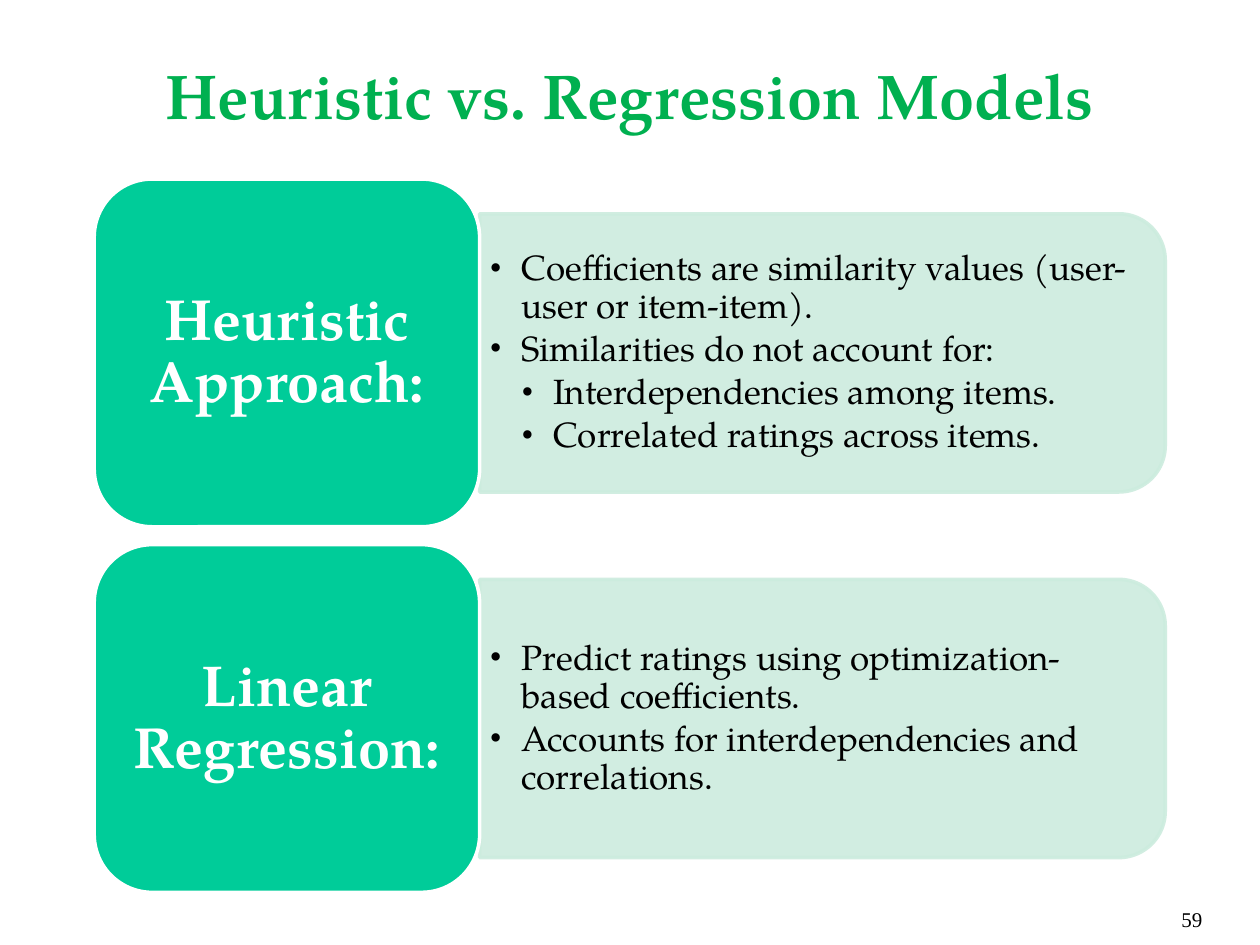
from dataclasses import dataclass

from lxml.etree import SubElement
from pptx import Presentation
from pptx.dml.color import RGBColor
from pptx.enum.shapes import MSO_SHAPE as Preset
from pptx.enum.text import MSO_ANCHOR as Anchor, MSO_AUTO_SIZE as AutoSize, PP_ALIGN as Align
from pptx.oxml.ns import qn
from pptx.util import Cm, Pt


@dataclass(frozen=True)
class Theme:
    heading_font: str = "TeX Gyre Pagella"
    number_font: str = "Times New Roman"
    title_color: str = "00B050"
    label_fill: str = "00CC99"
    panel_fill: str = "CCECDE"
    light: str = "FFFFFF"
    dark: str = "000000"
    title_size: float = 36
    label_size: float = 33
    body_size: float = 20
    number_size: float = 12
    outline: float = 2
    panel_opacity: int = 90


class SlideBuilder:
    def __init__(self, presentation, theme):
        self.theme = theme
        self.slide = presentation.slides.add_slide(presentation.slide_layouts[5])

    def style_font(self, paragraph, size, color, name=None, bold=False):
        font = paragraph.font
        font.name = name or self.theme.heading_font
        font.size = Pt(size)
        font.bold = bold
        font.color.rgb = RGBColor.from_string(color)

    def set_frame(self, frame, anchor, side, edge):
        frame.word_wrap = True
        frame.auto_size = AutoSize.NONE
        frame.vertical_anchor = anchor
        frame.margin_left = frame.margin_right = Cm(side)
        frame.margin_top = frame.margin_bottom = Cm(edge)

    def title(self, text, left, top, width, height):
        shape = self.slide.shapes.title
        shape.left, shape.top, shape.width, shape.height = map(Cm, (left, top, width, height))
        shape.text_frame.text = text
        self.set_frame(shape.text_frame, Anchor.MIDDLE, 0.25, 0.13)
        paragraph = shape.text_frame.paragraphs[0]
        paragraph.alignment = Align.CENTER
        self.style_font(paragraph, self.theme.title_size, self.theme.title_color, bold=True)

    def shape(self, preset, left, top, width, height, fill, line):
        shape = self.slide.shapes.add_shape(preset, *map(Cm, (left, top, width, height)))
        shape.shadow.inherit = False
        shape.fill.solid()
        shape.fill.fore_color.rgb = RGBColor.from_string(fill)
        shape.line.color.rgb = RGBColor.from_string(line)
        shape.line.width = Pt(self.theme.outline)
        return shape

    def panel(self, left, top, width, height):
        color = self.theme.panel_fill
        shift = (width - height) / 2
        shape = self.shape(Preset.ROUND_2_SAME_RECTANGLE, left + shift, top - shift,
                           height, width, color, color)
        shape.rotation = 90
        for color_element in shape.element.spPr.iter(qn("a:srgbClr")):
            SubElement(color_element, qn("a:alpha"), val=str(self.theme.panel_opacity * 1000))

    def label(self, text, left, top, width, height):
        shape = self.shape(Preset.ROUNDED_RECTANGLE, left, top, width, height,
                           self.theme.label_fill, self.theme.light)
        self.set_frame(shape.text_frame, Anchor.MIDDLE, 0.35, 0.18)
        shape.text_frame.text = text
        paragraph = shape.text_frame.paragraphs[0]
        paragraph.alignment = Align.CENTER
        paragraph.line_spacing = 0.9
        paragraph.space_after = Pt(0.35 * self.theme.label_size)
        self.style_font(paragraph, self.theme.label_size, self.theme.light, bold=True)

    def bullets(self, items, left, top, width, height):
        box = self.slide.shapes.add_textbox(*map(Cm, (left, top, width, height)))
        frame = box.text_frame
        self.set_frame(frame, Anchor.MIDDLE, 0.2, 0.1)
        frame.text = "\n".join(text for level, text in items)
        indent = Cm(0.64)
        for paragraph, (level, text) in zip(frame.paragraphs, items):
            paragraph.level = level
            paragraph.line_spacing = 0.9
            paragraph.space_after = Pt(0.15 * self.theme.body_size)
            self.style_font(paragraph, self.theme.body_size, self.theme.dark)
            properties = paragraph._p.get_or_add_pPr()
            properties.set("marL", str(indent * level))
            properties.set("indent", str(-indent))
            bullet_font = SubElement(properties, qn("a:buFont"), typeface=self.theme.number_font)
            bullet = SubElement(properties, qn("a:buChar"), char="•")
            for element in (bullet_font, bullet):
                properties.find(qn("a:defRPr")).addprevious(element)

    def page_number(self, text, left, top, width, height):
        box = self.slide.shapes.add_textbox(*map(Cm, (left, top, width, height)))
        self.set_frame(box.text_frame, Anchor.TOP, 0.25, 0.13)
        box.text_frame.text = text
        paragraph = box.text_frame.paragraphs[0]
        paragraph.alignment = Align.RIGHT
        self.style_font(paragraph, self.theme.number_size, self.theme.dark, self.theme.number_font)


APPROACHES = [
    ("Heuristic Approach:", [
        (1, "Coefficients are similarity values (user-user or item-item)."),
        (1, "Similarities do not account for:"),
        (2, "Interdependencies among items."),
        (2, "Correlated ratings across items."),
    ]),
    ("Linear Regression:", [
        (1, "Predict ratings using optimization-based coefficients."),
        (1, "Accounts for interdependencies and correlations."),
    ]),
]


def main():
    presentation = Presentation()
    presentation.slide_width, presentation.slide_height = Cm(25.4), Cm(19.05)
    builder = SlideBuilder(presentation, Theme())
    builder.title("Heuristic vs. Regression Models", 1.9, 0.64, 21.59, 2.54)

    label_left, label_width, label_height = 1.9, 7.77, 7.01
    panel_left, panel_width, panel_height = label_left + label_width, 13.82, 5.61
    text_width, text_height = 13.54, 5.08
    first_top, row_pitch = 3.61, 7.37
    for row, (heading, items) in enumerate(APPROACHES):
        top = first_top + row * row_pitch
        middle = top + label_height / 2
        builder.panel(panel_left, middle - panel_height / 2, panel_width, panel_height)
        builder.bullets(items, panel_left, middle - text_height / 2, text_width, text_height)
        builder.label(heading, label_left, top, label_width, label_height)

    builder.page_number("59", 18.57, 18.14, 5.92, 0.81)
    presentation.save("out.pptx")


if __name__ == "__main__":
    main()
